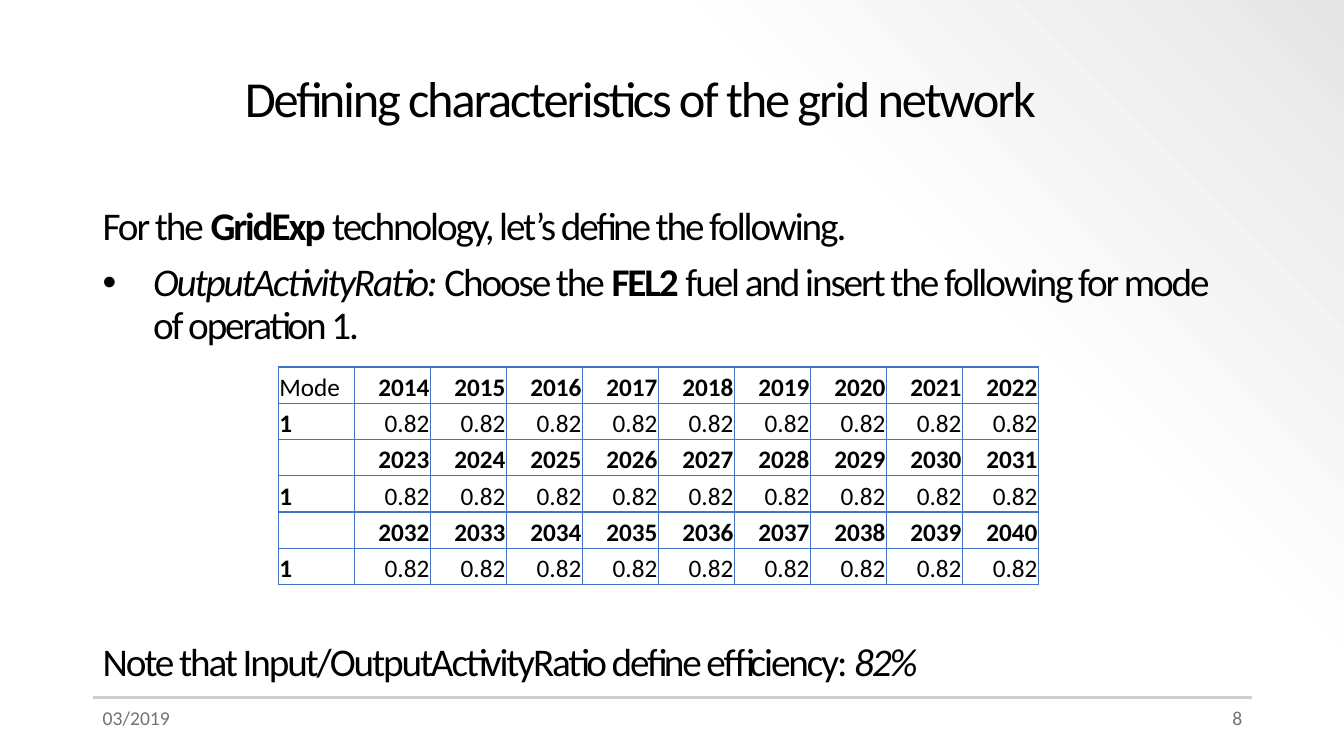
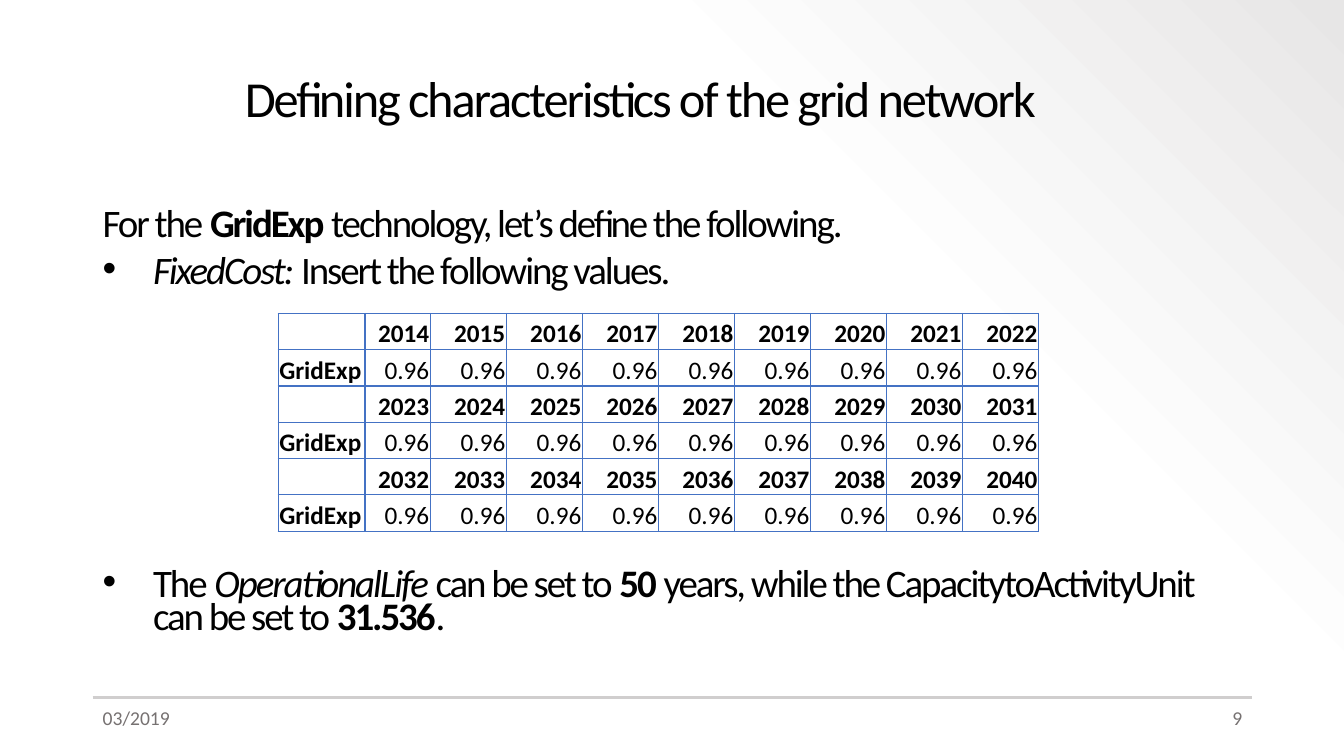
from lxml import etree
from pptx import Presentation
from pptx import util as u
from pptx.dml.color import RGBColor
from pptx.enum import shapes, text
from pptx.oxml import ns

Inches, Pt = u.Inches, u.Pt

BLACK = RGBColor(0x00, 0x00, 0x00)
WHITE = RGBColor(0xFF, 0xFF, 0xFF)
OFF_WHITE = RGBColor(0xFD, 0xFD, 0xFD)
LIGHT_GRAY = RGBColor(0xE7, 0xE6, 0xE6)
RULE_GRAY = RGBColor(0xD0, 0xCE, 0xCE)
FOOTER_GRAY = RGBColor(0x76, 0x71, 0x71)
BORDER_BLUE = RGBColor(0x44, 0x72, 0xC4)

FONT = "Calibri"
TITLE = "Defining characteristics of the grid network"
DATE = "03/2019"
LEFT, WIDTH = 0.92, 11.5
TABLE_LEFT, TABLE_WIDTH, ROW_HEIGHT = 2.76, 7.54, 0.36
FIRST_YEAR, YEARS_PER_ROW, YEAR_ROWS = 2014, 9, 3
INTRO = [("For the ", ""), ("GridExp ", "b"),
         ("technology, let’s define the following.", "")]


def add_element(parent, tag, **attrs):
    return etree.SubElement(parent, ns.qn(tag), attrs)


def style_font(font, size, color=BLACK):
    font.name = FONT
    font.size = Pt(size)
    font.color.rgb = color


def set_background(prs):
    master = prs.slide_master
    fill = master.background.fill
    fill.gradient()
    fill.gradient_angle = 45
    stops = master.element.xpath(".//p:bg//a:gsLst")[0]
    for stop in list(stops):
        stops.remove(stop)
    for pos, color, alpha in ((0, WHITE, 100), (69, OFF_WHITE, 100), (100, LIGHT_GRAY, 50)):
        stop = add_element(stops, "a:gs", pos=str(pos * 1000))
        clr = add_element(stop, "a:srgbClr", val=str(color))
        if alpha < 100:
            add_element(clr, "a:alpha", val=str(alpha * 1000))


def add_textbox(s, left, top, width, height):
    sp = s.shapes.add_textbox(Inches(left), Inches(top), Inches(width), Inches(height))
    sp.text_frame.word_wrap = True
    return sp.text_frame


def add_runs(p, runs, size):
    for content, style in runs:
        r = p.add_run()
        r.text = content
        style_font(r.font, size)
        r.font.bold = style == "b"
        r.font.italic = style == "i"
        r.font._element.set("spc", "-150")


def add_bullet(p):
    pPr = p._p.get_or_add_pPr()
    pPr.set("marL", str(Inches(0.5)))
    pPr.set("indent", str(Inches(-0.5)))
    add_element(pPr, "a:buFont", typeface="Arial")
    add_element(pPr, "a:buChar", char="•")


def add_body(s, top, height, paragraphs, size, spacing):
    tf = add_textbox(s, LEFT, top, WIDTH, height)
    for i, (bulleted, runs) in enumerate(paragraphs):
        p = tf.add_paragraph() if i else tf.paragraphs[0]
        p.line_spacing = spacing
        if i:
            p.space_before = Pt(10)
        if bulleted:
            add_bullet(p)
        add_runs(p, runs, size)


def add_title(s):
    tf = add_textbox(s, 2.33, 0.4, 10.08, 1.2)
    tf.vertical_anchor = text.MSO_ANCHOR.MIDDLE
    p = tf.paragraphs[0]
    p.line_spacing = 0.9
    add_runs(p, [(TITLE, "")], 36)


def add_footer_text(s, left, content, align):
    tf = add_textbox(s, left, 6.95, 1.3, 0.4)
    tf.text = content
    p = tf.paragraphs[0]
    p.alignment = align
    style_font(p.runs[0].font, 14, FOOTER_GRAY)


def add_footer(s, number):
    y = Inches(6.92)
    rule = s.shapes.add_connector(shapes.MSO_CONNECTOR.STRAIGHT,
                                  Inches(LEFT), y, Inches(LEFT + WIDTH), y)
    rule.line.color.rgb = RULE_GRAY
    rule.line.width = Pt(1.5)
    add_element(rule._element.spPr, "a:effectLst")
    add_footer_text(s, LEFT, DATE, text.PP_ALIGN.LEFT)
    add_footer_text(s, 11.12, str(number), text.PP_ALIGN.RIGHT)


def set_borders(cell):
    tcPr = cell._tc.get_or_add_tcPr()
    for i, side in enumerate(("a:lnL", "a:lnR", "a:lnT", "a:lnB")):
        ln = add_element(tcPr, side, w=str(Pt(1)))
        fill = add_element(ln, "a:solidFill")
        add_element(fill, "a:srgbClr", val=str(BORDER_BLUE))
        tcPr.insert(i, ln)


def fill_cell(cell, content, bold, align):
    cell.margin_left = cell.margin_right = cell.margin_top = Inches(0.01)
    cell.margin_bottom = 0
    cell.vertical_anchor = text.MSO_ANCHOR.BOTTOM
    cell.fill.background()
    set_borders(cell)
    p = cell.text_frame.paragraphs[0]
    p.text = content
    p.alignment = align
    style_font(p.font, 18)
    for r in p.runs:
        style_font(r.font, 18)
        r.font.bold = bold


def year_rows(corner, label, value):
    rows = []
    for i in range(YEAR_ROWS):
        start = FIRST_YEAR + i * YEARS_PER_ROW
        years = [str(start + j) for j in range(YEARS_PER_ROW)]
        rows.append(["" if i else corner] + years)
        rows.append([label] + [value] * YEARS_PER_ROW)
    return rows


def add_year_table(s, top, corner, label, value, label_width=None):
    rows = year_rows(corner, label, value)
    n_cols = YEARS_PER_ROW + 1
    table = s.shapes.add_table(len(rows), n_cols, Inches(TABLE_LEFT), Inches(top),
                               Inches(TABLE_WIDTH), Inches(ROW_HEIGHT * len(rows))).table
    table.first_row = table.horz_banding = False
    col_width = Inches(TABLE_WIDTH) // n_cols
    for col in table.columns:
        col.width = col_width
    if label_width:
        table.columns[0].width = Inches(label_width)
        table.columns[1].width = 2 * col_width - Inches(label_width)
    for i, row in enumerate(rows):
        table.rows[i].height = Inches(ROW_HEIGHT)
        for j, content in enumerate(row):
            bold = (i % 2 == 0) != (j == 0)
            align = text.PP_ALIGN.RIGHT if j else text.PP_ALIGN.LEFT
            fill_cell(table.cell(i, j), content, bold, align)


def add_slide(prs, number):
    s = prs.slides.add_slide(prs.slide_layouts[6])
    add_title(s)
    add_footer(s, number)
    return s


def add_activity_ratio_slide(prs):
    s = add_slide(prs, 8)
    ratio = [("OutputActivityRatio: ", "i"), ("Choose the ", ""), ("FEL2", "b"),
             (" fuel and insert the following for mode of operation 1.", "")]
    note = [("Note that Input/OutputActivityRatio define efficiency: ", ""), ("82%", "i")]
    add_body(s, 2, 1.55, [(False, INTRO), (True, ratio)], 28, 0.9)
    add_year_table(s, 3.64, "Mode", "1", "0.82")
    add_body(s, 6.33, 0.53, [(False, note)], 28, 0.9)


def add_fixed_cost_slide(prs):
    s = add_slide(prs, 9)
    cost = [("FixedCost: ", "i"), ("Insert the following values.", "")]
    life = [("The ", ""), ("OperationalLife", "i"), (" can be set to ", ""), ("50 ", "b"),
            ("years, while the CapacitytoActivityUnit can be set to ", ""),
            ("31.536", "b"), (".", "")]
    add_body(s, 2.05, 0.95, [(False, INTRO), (True, cost)], 27.8, 0.7)
    add_year_table(s, 3.11, "", "GridExp", "0.96", label_width=0.86)
    add_body(s, 5.62, 0.8, [(True, life)], 27.8, 0.7)


def main():
    prs = Presentation()
    prs.slide_width = Inches(13.33)
    prs.slide_height = Inches(7.5)
    set_background(prs)
    add_activity_ratio_slide(prs)
    add_fixed_cost_slide(prs)
    prs.save("out.pptx")


if __name__ == "__main__":
    main()
